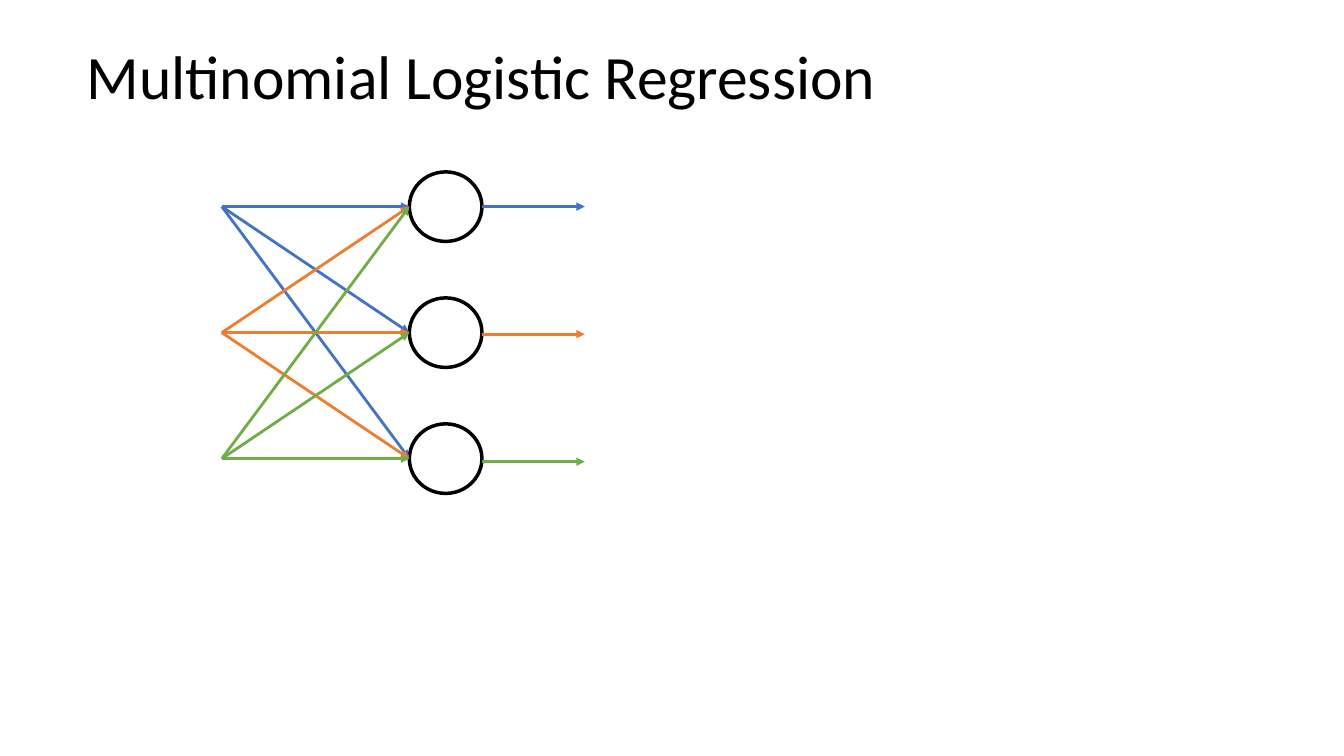
import pptx
import pptx.dml.color
import pptx.enum.shapes
import pptx.enum.text
import pptx.oxml.ns
import pptx.util
import lxml.etree

INCH = pptx.util.Inches
INPUT_COLUMN, NODE_COLUMN, OUTPUT_COLUMN = 2.2, 4.06, 5.8
FIRST_ROW, ROW_STEP, OUTPUT_STEP = 2.05, 1.25, 1.265
NODE_WIDTH, NODE_HEIGHT = 0.72, 0.69
CLASS_COLORS = ["4472C4", "ED7D31", "70AD47"]


def paint(color_format, color):
    color_format.rgb = pptx.dml.color.RGBColor.from_string(color)


def add_arrow(page, start, end, color):
    arrow = page.shapes.add_connector(
        pptx.enum.shapes.MSO_CONNECTOR.STRAIGHT, *map(INCH, start + end))
    paint(arrow.line.color, color)
    arrow.line.width = pptx.util.Pt(2)
    outline = arrow.line._get_or_add_ln()
    lxml.etree.SubElement(outline, pptx.oxml.ns.qn("a:tailEnd"), type="triangle")
    properties = arrow._element.spPr
    lxml.etree.SubElement(properties, pptx.oxml.ns.qn("a:effectLst"))


deck = pptx.Presentation()
deck.slide_width = INCH(13.33)
deck.slide_height = INCH(7.5)
page = deck.slides.add_slide(deck.slide_layouts[6])

title = page.shapes.add_textbox(INCH(0.76), INCH(0.06), INCH(11.5), INCH(1.45))
title.text_frame.word_wrap = True
title.text_frame.vertical_anchor = pptx.enum.text.MSO_ANCHOR.MIDDLE
para = title.text_frame.paragraphs[0]
para.line_spacing = 0.9
span = para.add_run()
span.text = "Multinomial Logistic Regression"
span.font.name = "Calibri"
span.font.size = pptx.util.Pt(44)
paint(span.font.color, "000000")

rows = [FIRST_ROW + index * ROW_STEP for index in range(len(CLASS_COLORS))]

for row in rows:
    node = page.shapes.add_shape(
        pptx.enum.shapes.MSO_SHAPE.OVAL,
        INCH(NODE_COLUMN), INCH(row - NODE_HEIGHT / 2),
        INCH(NODE_WIDTH), INCH(NODE_HEIGHT))
    node.shadow.inherit = False
    node.fill.solid()
    paint(node.fill.fore_color, "FFFFFF")
    paint(node.line.color, "000000")
    node.line.width = pptx.util.Pt(2.5)

for input_row, color in zip(rows, CLASS_COLORS):
    for node_row in rows:
        add_arrow(page, (INPUT_COLUMN, input_row), (NODE_COLUMN, node_row), color)

for index, color in enumerate(CLASS_COLORS):
    output_row = FIRST_ROW + index * OUTPUT_STEP
    add_arrow(page, (NODE_COLUMN + NODE_WIDTH, output_row),
              (OUTPUT_COLUMN, output_row), color)

deck.save("out.pptx")
